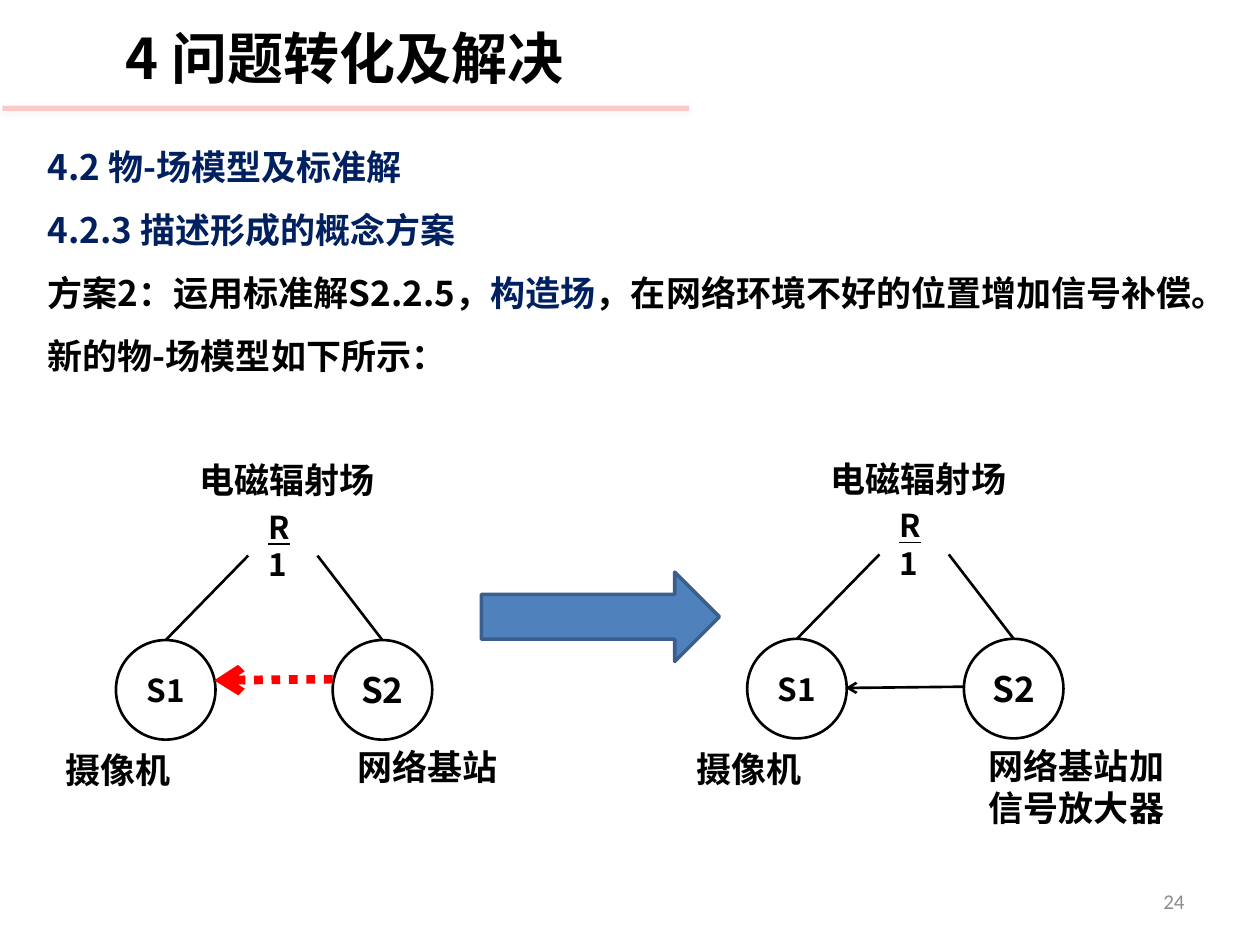
from lxml import etree
from pptx import Presentation
from pptx.dml.color import RGBColor
from pptx.enum.dml import MSO_LINE_DASH_STYLE as DASH
from pptx.enum.shapes import MSO_CONNECTOR, MSO_SHAPE
from pptx.enum.text import MSO_ANCHOR, PP_ALIGN
from pptx.oxml import parse_xml
from pptx.oxml.ns import nsdecls, qn
from pptx.util import Inches, Pt

BLACK = RGBColor(0x00, 0x00, 0x00)
NAVY = RGBColor(0x00, 0x20, 0x60)
RED = RGBColor(0xFF, 0x00, 0x00)
GRAY = RGBColor(0x8C, 0x8C, 0x8C)
BLUE = RGBColor(0x4F, 0x81, 0xBD)
DARK_BLUE = RGBColor(0x3A, 0x5F, 0x8C)
FONT = "Noto Sans CJK SC"


def style_run(run, size, color=BLACK, bold=True, name=FONT):
    """Set the Latin and East Asian font of a run."""
    run.font.size = Pt(size)
    run.font.bold = bold
    run.font.color.rgb = color
    run.font.name = name
    east_asian = etree.SubElement(run.font._element, qn("a:ea"))
    east_asian.set("typeface", name)


def add_text(slide, box, paragraphs, size=20, align=PP_ALIGN.LEFT, spacing=None, **style):
    """Add a text box whose paragraphs are lists of (text, color) runs."""
    shape = slide.shapes.add_textbox(*map(Inches, box))
    text_frame = shape.text_frame
    text_frame.word_wrap = True
    for index, runs in enumerate(paragraphs):
        paragraph = text_frame.add_paragraph() if index else text_frame.paragraphs[0]
        paragraph.alignment = align
        paragraph.line_spacing = spacing
        for text, color in runs:
            run = paragraph.add_run()
            run.text = text
            style_run(run, size, color, **style)
    return shape


def add_line(slide, start, end, color=BLACK, width=1.5, arrow=False):
    """Add a straight line without shadow, optionally with an arrowhead."""
    line = slide.shapes.add_connector(MSO_CONNECTOR.STRAIGHT, *map(Inches, (*start, *end)))
    line.line.color.rgb = color
    line.line.width = Pt(width)
    if arrow:
        line.line._get_or_add_ln().append(parse_xml(f'<a:tailEnd {nsdecls("a")} type="arrow"/>'))
    etree.SubElement(line._element.spPr, qn("a:effectLst"))
    return line


def add_header(slide, left, top, width):
    """Add the title and the pale rule with its soft shadow."""
    add_text(slide, (left, top, width, 0.64), [[("4 问题转化及解决", BLACK)]], 32, PP_ALIGN.CENTER)
    rule = add_line(slide, (left + 0.02, top + 0.72), (left + width, top + 0.72), RED, 3)
    color = rule._element.spPr.find(".//" + qn("a:srgbClr"))
    etree.SubElement(color, qn("a:alpha")).set("val", "20000")
    rule._element.spPr.find(qn("a:effectLst")).append(parse_xml(
        f'<a:outerShdw {nsdecls("a")} blurRad="{Pt(3.1)}" dist="{Pt(1.8)}" dir="5400000" '
        'rotWithShape="0"><a:srgbClr val="808080"><a:alpha val="35000"/></a:srgbClr></a:outerShdw>'))


def add_body(slide, box):
    """Add the section headings and the description of the scheme."""
    add_text(slide, box, [
        [("4.2 物-场模型及标准解", NAVY)],
        [("4.2.3 描述形成的概念方案", NAVY)],
        [("方案2：运用标准解S2.2.5，", BLACK), ("构造场", NAVY),
         ("，在网络环境不好的位置增加信号补偿。新的物-场模型如下所示：", BLACK)],
    ], spacing=1.5)


def add_substance(slide, left, top, label, size):
    """Add a labelled circle for one substance."""
    circle = slide.shapes.add_shape(
        MSO_SHAPE.OVAL, Inches(left), Inches(top), Inches(0.79), Inches(0.79))
    circle.shadow.inherit = False
    circle.fill.background()
    circle.line.color.rgb = BLACK
    circle.line.width = Pt(1.5)
    text_frame = circle.text_frame
    text_frame.text = label
    text_frame.word_wrap = False
    text_frame.vertical_anchor = MSO_ANCHOR.MIDDLE
    paragraph = text_frame.paragraphs[0]
    paragraph.alignment = PP_ALIGN.CENTER
    style_run(paragraph.runs[0], size)
    return circle


def add_field_model(slide, left, top, station, station_width, action_drop):
    """Add a substance-field triangle and return its action arrow."""
    add_text(slide, (left + 0.89, top, 1.94, 0.44), [[("电磁辐射场", BLACK)]],
             align=PP_ALIGN.CENTER)
    field = add_text(slide, (left + 1.61, top + 0.39, 0.48, 0.4),
                     [[("R", BLACK), ("1", BLACK)]], 18)
    field.text_frame.paragraphs[0].runs[0].font.underline = True

    circle_top = top + 1.49
    substances = (("S1", 18, 0.5, 1.55), ("S2", 20, 2.22, 2.1))
    for label, size, circle_x, field_x in substances:
        circle = add_substance(slide, left + circle_x, circle_top, label, size)
        leg = add_line(slide, (left + field_x, top + 0.82),
                       (left + circle_x + 0.39, circle_top))
        leg.end_connect(circle, 0)

    add_text(slide, (left, top + 2.3, 1.08, 0.44), [[("摄像机", BLACK)]])
    add_text(slide, (left + 2.32, top + 2.28, station_width, 0.74), [[(station, BLACK)]])
    action_y = top + action_drop
    return add_line(slide, (left + 2.22, action_y), (left + 1.28, action_y + 0.01), arrow=True)


def add_transition(slide, box):
    """Add the block arrow between the two models."""
    arrow = slide.shapes.add_shape(MSO_SHAPE.RIGHT_ARROW, *map(Inches, box))
    arrow.shadow.inherit = False
    arrow.fill.solid()
    arrow.fill.fore_color.rgb = BLUE
    arrow.line.color.rgb = DARK_BLUE
    arrow.line.width = Pt(2)


def add_page_number(slide, box):
    """Add the page number at the lower right."""
    number = add_text(slide, box, [[("24", GRAY)]], 12, PP_ALIGN.RIGHT, bold=False, name="Calibri")
    number.text_frame.vertical_anchor = MSO_ANCHOR.MIDDLE


def main():
    """Build and save the slide."""
    presentation = Presentation()
    presentation.slide_width = Inches(10)
    presentation.slide_height = Inches(7.5)
    slide = presentation.slides.add_slide(presentation.slide_layouts[6])

    add_header(slide, 0, 0.14, 5.47)
    add_body(slide, (0.28, 0.94, 9.45, 2.62))
    weak_action = add_field_model(slide, 0.42, 3.59, "网络基站", 1.32, 1.8)
    weak_action.line.color.rgb = RED
    weak_action.line.width = Pt(5)
    weak_action.line.dash_style = DASH.ROUND_DOT
    add_transition(slide, (3.82, 4.54, 1.89, 0.71))
    add_field_model(slide, 5.43, 3.58, "网络基站加信号放大器", 1.76, 1.87)
    add_page_number(slide, (7.17, 6.95, 2.33, 0.4))

    presentation.save("out.pptx")


if __name__ == "__main__":
    main()
